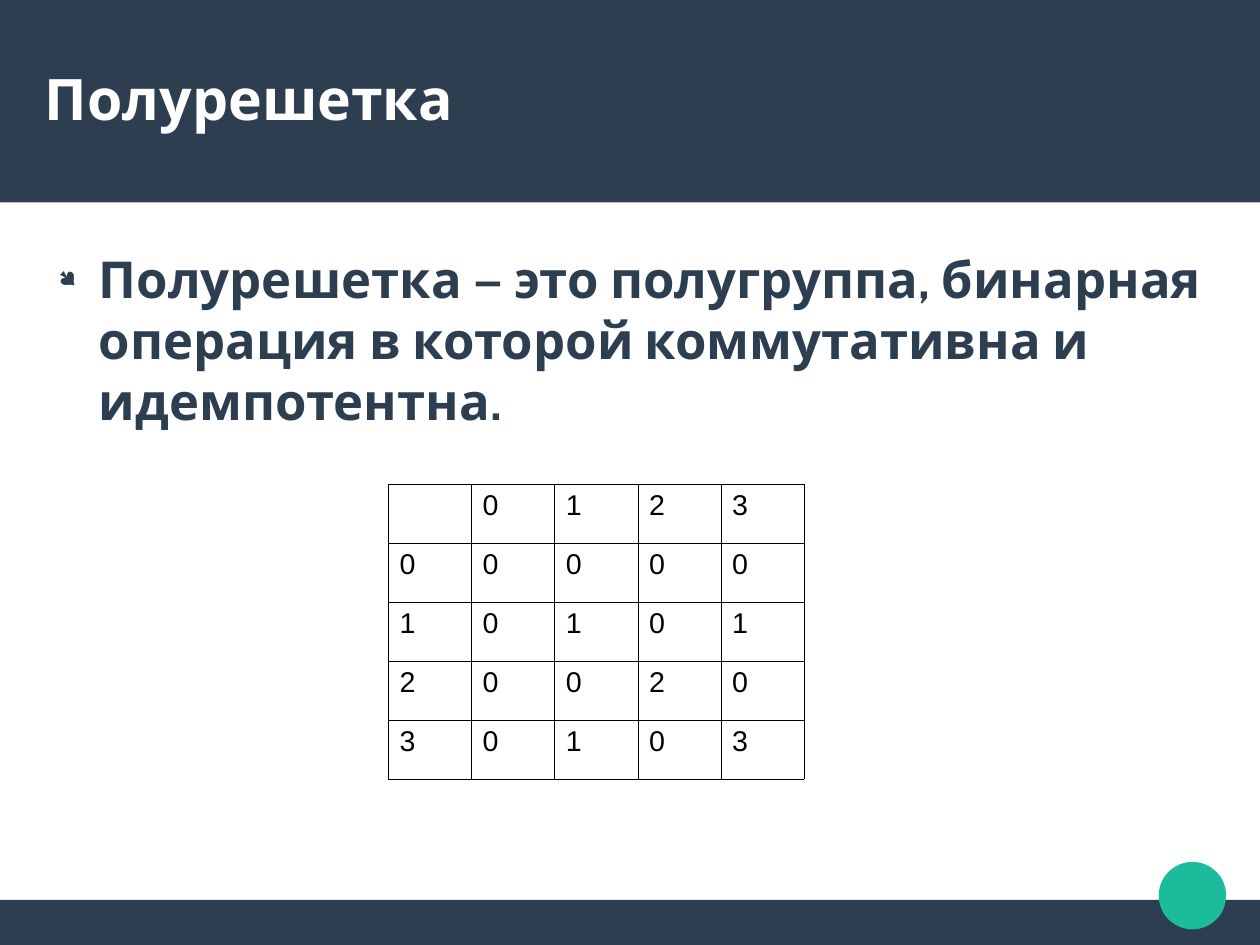
from lxml.etree import SubElement
from pptx import Presentation
from pptx.dml.color import RGBColor
from pptx.enum.shapes import MSO_SHAPE as Shape
from pptx.enum.text import MSO_ANCHOR as Anchor
from pptx.oxml.ns import qn
from pptx.util import Pt

WIDTH, HEIGHT = 793.7, 595.28
NAVY, GREEN, WHITE, BLACK = "2C3E50", "1ABC9C", "FFFFFF", "000000"
MARGIN, TEXT_WIDTH = 28.35, 737

OPERATION = ["0123", "0000", "0101", "0020", "0103"]
ELEMENTS = ["", "0", "1", "2", "3"]


def color(hex_code):
    return RGBColor.from_string(hex_code)


def style(font, face, size, hex_code, bold=False):
    font.name, font.size, font.bold = face, Pt(size), bold
    font.color.rgb = color(hex_code)


def add_block(slide, kind, box, hex_code):
    block = slide.shapes.add_shape(kind, *map(Pt, box))
    block.shadow.inherit = False
    block.fill.solid()
    block.fill.fore_color.rgb = color(hex_code)
    block.line.fill.background()


def add_text(slide, box, text, size, hex_code, anchor):
    frame = slide.shapes.add_textbox(*map(Pt, box)).text_frame
    frame.word_wrap = True
    frame.vertical_anchor = anchor
    frame.margin_left = frame.margin_right = 0
    frame.margin_top = frame.margin_bottom = 0
    frame.text = text
    paragraph = frame.paragraphs[0]
    style(paragraph.runs[0].font, "Cabin", size, hex_code, bold=True)
    return paragraph


def add_header(slide, left, top, width, height):
    add_block(slide, Shape.RECTANGLE, (left, top, width, height), NAVY)
    add_text(slide, (left + MARGIN, top + 23.75, TEXT_WIDTH, 75.5),
             "Полурешетка", 36, WHITE, Anchor.MIDDLE)


def add_footer(slide, left, top, width, height):
    add_block(slide, Shape.RECTANGLE, (left, top, width, height), NAVY)
    # Round page marker overlapping the strip
    add_block(slide, Shape.OVAL, (left + width - 63.8, top - 24, 42.5, 42.5), GREEN)


def add_definition(slide, *box):
    definition = add_text(
        slide, box,
        "Полурешетка — это полугруппа, бинарная операция в которой "
        "коммутативна и идемпотентна.", 32, NAVY, Anchor.TOP)
    # Small hanging bullet
    props = definition._p.get_or_add_pPr()
    props.set("marL", str(Pt(34)))
    props.set("indent", str(-Pt(25.5)))
    SubElement(SubElement(props, qn("a:buClr")), qn("a:srgbClr"), val=NAVY)
    SubElement(props, qn("a:buSzPct"), val="45000")
    SubElement(props, qn("a:buFont"), typeface="Wingdings", charset="2")
    SubElement(props, qn("a:buChar"), char="●")
    definition.space_after = Pt(14.1)


def add_borders(cell):
    props = cell._tc.get_or_add_tcPr()
    for side in ("lnL", "lnR", "lnT", "lnB"):
        border = SubElement(props, qn(f"a:{side}"), w=str(Pt(0.06)))
        SubElement(SubElement(border, qn("a:solidFill")), qn("a:srgbClr"), val=BLACK)


def add_operation_table(slide, left, top, width, height):
    count = len(ELEMENTS)
    table = slide.shapes.add_table(
        count, count, Pt(left), Pt(top), Pt(width), Pt(height)).table
    table.first_row = table.horz_banding = False
    for column in table.columns:
        column.width = Pt(width / count)
    for row, element, results in zip(table.rows, ELEMENTS, OPERATION):
        row.height = Pt(height / count)
        for cell, value in zip(row.cells, [element, *results]):
            cell.text = value
            style(cell.text_frame.paragraphs[0].font, "Arial", 18, BLACK)
            add_borders(cell)
            cell.fill.background()


def main():
    deck = Presentation()
    deck.slide_width, deck.slide_height = Pt(WIDTH), Pt(HEIGHT)
    slide = deck.slides.add_slide(deck.slide_layouts[6])
    add_footer(slide, 0, HEIGHT - 28.35, WIDTH, 28.35)
    add_header(slide, 0, 0, WIDTH, 127.5)
    add_definition(slide, MARGIN, 156, TEXT_WIDTH, 397)
    add_operation_table(slide, 244.5, 305, 262, 185.8)
    deck.save("out.pptx")


if __name__ == "__main__":
    main()
